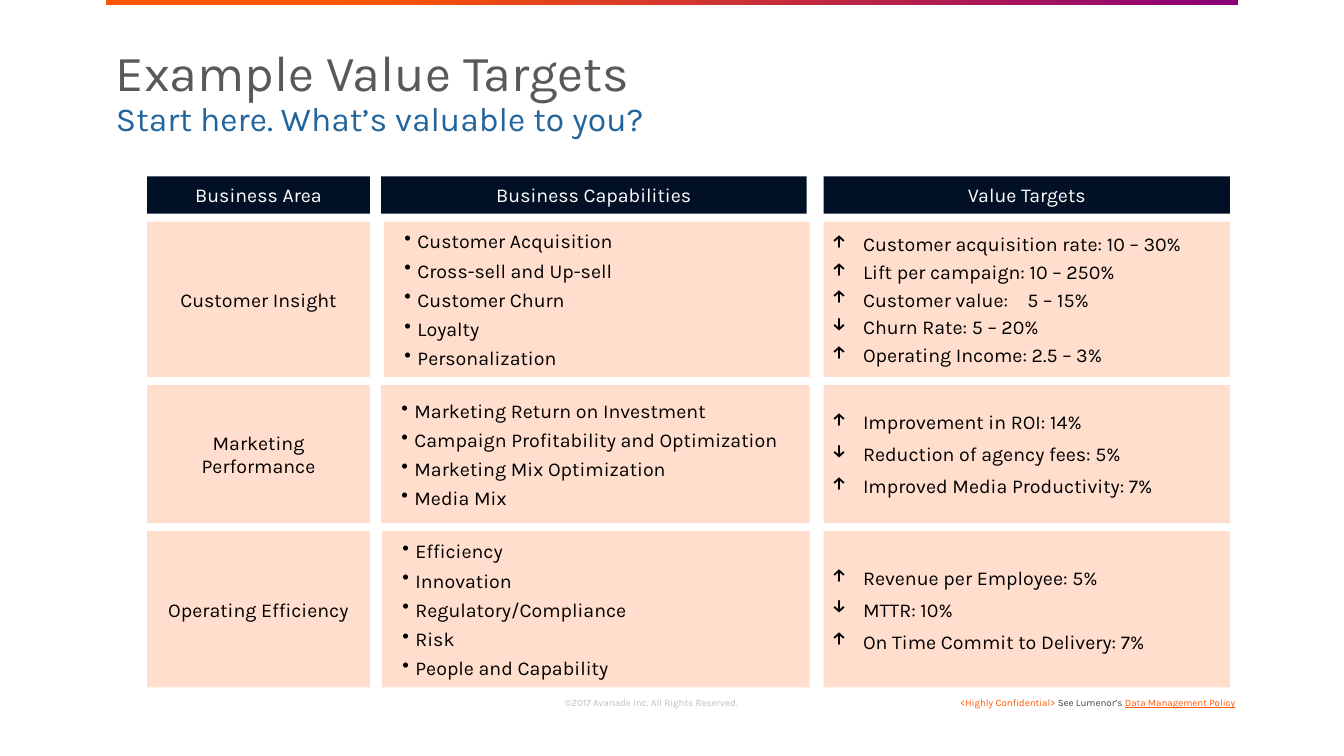
from dataclasses import dataclass

import pptx
import pptx.dml.color
import pptx.enum.shapes
import pptx.enum.text
import pptx.oxml.ns
import pptx.util
from lxml import etree

ALIGN = pptx.enum.text.PP_ALIGN
ANCHOR = pptx.enum.text.MSO_ANCHOR
SCALE = 9144  # EMU per px, 100 px to the inch
FONT = "Karla"
NAVY, PEACH, ORANGE, PURPLE = "021025", "FFDECD", "FF5800", "890078"
BLACK, WHITE = "000000", "FFFFFF"
GAP = 8
CAPABILITY_RIGHT = 803


@dataclass
class Column:
    left: int
    width: int
    heading: str


@dataclass
class Item:
    text: str
    bullet: str = "•"


@dataclass
class Area:
    name: str
    height: int
    capability_left: int
    target_before: int
    capabilities: list[str]
    targets: list[Item]


@dataclass
class ListStyle:
    margin: int
    hanging: int
    before: int
    after: int


COLUMNS = [
    Column(146, 221, "Business Area"),
    Column(378, 422, "Business Capabilities"),
    Column(817, 403, "Value Targets"),
]
AREAS = [
    Area("Customer Insight", 154, 381, 0,
         ["Customer Acquisition", "Cross-sell and Up-sell", "Customer Churn",
          "Loyalty", "Personalization"],
         [Item("Customer acquisition rate: 10 – 30%", "↑"),
          Item("Lift per campaign: 10 – 250%", "↑"),
          Item("Customer value:\t5 – 15%", "↑"),
          Item("Churn Rate: 5 – 20%", "↓"),
          Item("Operating Income: 2.5 – 3%", "↑")]),
    Area("Marketing Performance", 137, 378, 3,
         ["Marketing Return on Investment",
          "Campaign Profitability and Optimization",
          "Marketing Mix Optimization", "Media Mix"],
         [Item("Improvement in ROI: 14%", "↑"),
          Item("Reduction of agency fees: 5%", "↓"),
          Item("Improved Media Productivity: 7%", "↑")]),
    Area("Operating Efficiency", 155, 379, 3,
         ["Efficiency", "Innovation", "Regulatory/Compliance", "Risk",
          "People and Capability"],
         [Item("Revenue per Employee: 5%", "↑"),
          Item("MTTR: 10%", "↓"),
          Item("On Time Commit to Delivery: 7%", "↑")]),
]


def px(length: int) -> int:
    return length * SCALE


def colour(value: str) -> pptx.dml.color.RGBColor:
    return pptx.dml.color.RGBColor.from_string(value)


def format_span(span, size: int, shade: str) -> None:
    span.font.name = FONT
    span.font.size = pptx.util.Pt(size)
    span.font.color.rgb = colour(shade)


def set_insets(frame, across: int, down: int) -> None:
    frame.margin_left = frame.margin_right = px(across)
    frame.margin_top = frame.margin_bottom = px(down)


def add_box(page, left: int, top: int, width: int, height: int):
    box = page.shapes.add_shape(pptx.enum.shapes.MSO_SHAPE.RECTANGLE,
                                px(left), px(top), px(width), px(height))
    box.shadow.inherit = False
    box.line.fill.background()
    return box


def add_cell(page, left: int, top: int, width: int, height: int, fill: str):
    box = add_box(page, left, top, width, height)
    box.fill.solid()
    box.fill.fore_color.rgb = colour(fill)
    frame = box.text_frame
    frame.word_wrap = True
    frame.vertical_anchor = ANCHOR.MIDDLE
    set_insets(frame, 8, 2)
    return frame


def add_label(frame, text: str, shade: str) -> None:
    frame.text = text
    para = frame.paragraphs[0]
    para.alignment = ALIGN.CENTER
    format_span(para.runs[0], 14, shade)


def add_list(frame, items: list[Item], style: ListStyle) -> None:
    frame.text = "\n".join(item.text for item in items)
    for index, (para, item) in enumerate(zip(frame.paragraphs, items)):
        para.alignment = ALIGN.LEFT
        para.space_before = pptx.util.Pt(style.before if index else 0)
        para.space_after = pptx.util.Pt(style.after)
        properties = para._p.get_or_add_pPr()
        properties.set("marL", str(px(style.margin)))
        properties.set("indent", str(px(-style.hanging)))
        bullet = etree.SubElement(properties, pptx.oxml.ns.qn("a:buChar"))
        bullet.set("char", item.bullet)
        if "\t" in item.text:
            tabs = etree.SubElement(properties, pptx.oxml.ns.qn("a:tabLst"))
            tab = etree.SubElement(tabs, pptx.oxml.ns.qn("a:tab"))
            tab.set("pos", str(px(194)))
            tab.set("algn", "l")
        for span in para.runs:
            format_span(span, 14, BLACK)


def add_title(page) -> None:
    title = page.shapes.title
    title.left, title.top = px(105), px(43)
    title.width, title.height = px(1123), px(109)
    frame = title.text_frame
    frame.text = "Example Value Targets\vStart here. What’s valuable to you?"
    frame.auto_size = pptx.enum.text.MSO_AUTO_SIZE.NONE
    frame.vertical_anchor = ANCHOR.TOP
    para = frame.paragraphs[0]
    para.alignment = ALIGN.LEFT
    para.line_spacing = 0.9
    for span, size, shade in zip(para.runs, (36, 24), ("595959", "22659C")):
        format_span(span, size, shade)
    for line_break in para._p.findall(pptx.oxml.ns.qn("a:br")):
        etree.SubElement(line_break, pptx.oxml.ns.qn("a:rPr")).set("sz", "3600")


def add_footer(page, left: int, top: int, width: int, height: int,
               spans: list[tuple[str, str]], align: ALIGN):
    box = page.shapes.add_textbox(px(left), px(top), px(width), px(height))
    box.text_frame.word_wrap = True
    para = box.text_frame.paragraphs[0]
    para.alignment = align
    for text, shade in spans:
        span = para.add_run()
        span.text = text
        format_span(span, 7, shade)
    return box.text_frame


def main() -> None:
    deck = pptx.Presentation()
    deck.slide_width, deck.slide_height = px(1333), px(750)
    page = deck.slides.add_slide(deck.slide_layouts[5])

    # Gradient bar and title
    bar = add_box(page, 105, 0, 1123, 5)
    bar.fill.gradient()
    bar.fill.gradient_angle = 180
    for stop, position, shade in zip(bar.fill.gradient_stops, (0, 0.8),
                                     (PURPLE, ORANGE)):
        stop.position = position
        stop.color.rgb = colour(shade)
    add_title(page)

    # Column headings
    top, heading_height = 175, 37
    for column in COLUMNS:
        frame = add_cell(page, column.left, top, column.width, heading_height, NAVY)
        add_label(frame, column.heading, WHITE)
    top += heading_height + GAP

    # One row of cells per business area
    first, _, last = COLUMNS
    for area in AREAS:
        frame = add_cell(page, first.left, top, first.width, area.height, PEACH)
        add_label(frame, area.name, BLACK)
        frame = add_cell(page, area.capability_left, top,
                         CAPABILITY_RIGHT - area.capability_left, area.height, PEACH)
        add_list(frame, [Item(text) for text in area.capabilities],
                 ListStyle(25, 13, 4, 0))
        frame = add_cell(page, last.left, top, last.width, area.height, PEACH)
        add_list(frame, area.targets, ListStyle(31, 31, area.target_before, 3))
        top += area.height + GAP

    # Footer
    frame = add_footer(page, 510, 685, 272, 18,
                       [("©2017 Avanade Inc. All Rights Reserved.", "BFBFBF")],
                       ALIGN.CENTER)
    set_insets(frame, 0, 0)
    frame.vertical_anchor = ANCHOR.BOTTOM
    frame.paragraphs[0].line_spacing = 0.9
    frame = add_footer(page, 931, 686, 304, 22,
                       [("<Highly Confidential> ", ORANGE),
                        ("See Lumenor’s ", "464646"),
                        ("Data Management Policy", ORANGE)], ALIGN.RIGHT)
    frame.paragraphs[0].runs[-1].font.underline = True

    deck.save("out.pptx")


if __name__ == "__main__":
    main()
